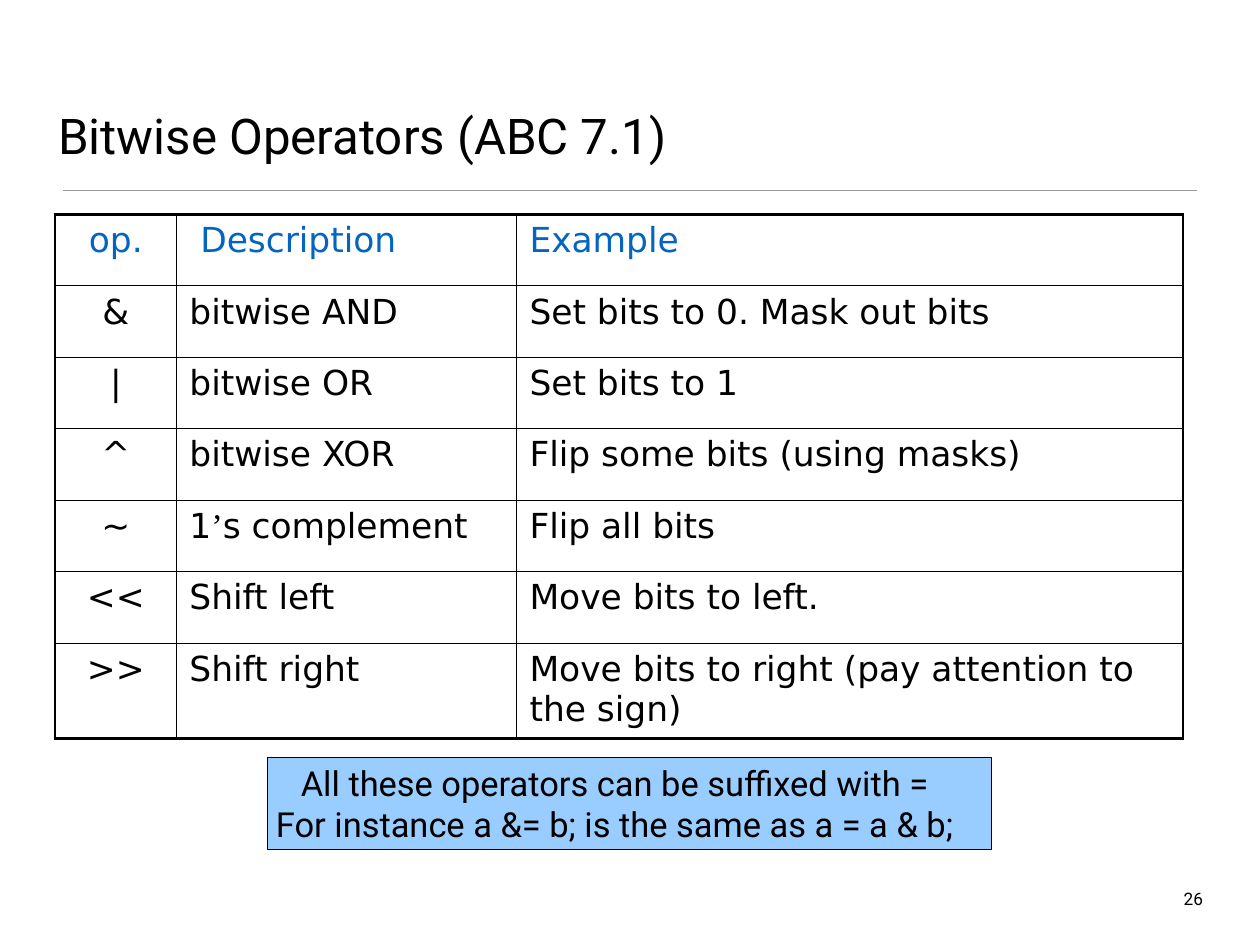
from pptx import Presentation
from pptx import util as u
from pptx.dml import color as c
from pptx.enum import shapes, text
from pptx.oxml import ns
from lxml import etree

COLORS = {
    "ink": "000000",
    "heading": "0365C0",
    "rule": "9A9A9A",
    "note": "99CCFF",
}
THICK, THIN = 2.25, 1

OPERATORS = [
    ("op.", " Description", "Example"),
    ("&", "bitwise AND", "Set bits to 0. Mask out bits"),
    ("|", "bitwise OR", "Set bits to 1"),
    ("^", "bitwise XOR", "Flip some bits (using masks)"),
    ("~", "1’s complement", "Flip all bits"),
    ("<<", "Shift left", "Move bits to left."),
    (">>", "Shift right", "Move bits to right (pay attention to the sign)"),
]
COLUMN_WIDTHS = [3.5, 9.75, 19.1]
ROW_HEIGHTS = [2.05] * 6 + [2.66]


def rgb(name):
    return c.RGBColor.from_string(COLORS[name])


def write_span(para, content, *, size=28, font="Roboto", color="ink"):
    span = para.add_run()
    span.text = content
    span.font.size = u.Pt(size)
    span.font.name = font
    span.font.color.rgb = rgb(color)


class SlideBuilder:
    body_font = "DejaVu Sans"
    quote_font = "Times New Roman"

    def __init__(self, page):
        self.page = page

    def fill_frame(self, frame, lines, margins, anchor, align, **style):
        frame.word_wrap = True
        frame.vertical_anchor = anchor
        (frame.margin_left, frame.margin_top,
         frame.margin_right, frame.margin_bottom) = map(u.Cm, margins)
        for index, line in enumerate(lines):
            para = frame.add_paragraph() if index else frame.paragraphs[0]
            para.alignment = align
            write_span(para, line, **style)

    def label(self, content, place, anchor, align, **style):
        box = self.page.shapes.add_textbox(*map(u.Cm, place))
        self.fill_frame(box.text_frame, [content], [0.1] * 4, anchor, align, **style)

    def rule(self, start, end):
        line = self.page.shapes.add_connector(
            shapes.MSO_CONNECTOR.STRAIGHT, *map(u.Cm, start + end))
        line.line.color.rgb = rgb("rule")
        line.line.width = u.Pt(1)
        etree.SubElement(line._element.spPr, ns.qn("a:effectLst"))

    def note(self, lines, place):
        box = self.page.shapes.add_shape(
            shapes.MSO_SHAPE.RECTANGLE, *map(u.Cm, place))
        box.shadow.inherit = False
        box.fill.solid()
        box.fill.fore_color.rgb = rgb("note")
        box.line.color.rgb = rgb("ink")
        box.line.width = u.Pt(0.75)
        # The wider right margin sets the text slightly left of centre
        self.fill_frame(box.text_frame, lines, (0.13, 0.13, 0.99, 0.13),
                        text.MSO_ANCHOR.MIDDLE, text.PP_ALIGN.CENTER)

    def borders(self, cell, widths):
        properties = cell._tc.get_or_add_tcPr()
        for index, (side, width) in enumerate(zip("LRTB", widths)):
            edge = etree.Element(ns.qn(f"a:ln{side}"), w=str(u.Pt(width)))
            fill = etree.SubElement(edge, ns.qn("a:solidFill"))
            etree.SubElement(fill, ns.qn("a:srgbClr"), val=COLORS["ink"])
            properties.insert(index, edge)

    def cell_text(self, cell, content, centered, color):
        cell.margin_left = cell.margin_right = u.Cm(0.36)
        cell.margin_top = cell.margin_bottom = u.Cm(0.18)
        para = cell.text_frame.paragraphs[0]
        para.alignment = text.PP_ALIGN.CENTER if centered else text.PP_ALIGN.LEFT
        before, quote, after = content.partition("’")
        parts = ((before, self.body_font), (quote, self.quote_font),
                 (after, self.body_font))
        for part, font in parts:
            if part:
                write_span(para, part, font=font, color=color)

    def table(self, rows, left, top, widths, heights):
        size = map(u.Cm, (left, top, sum(widths), sum(heights)))
        grid = self.page.shapes.add_table(len(rows), len(widths), *size).table
        grid.first_row = grid.horz_banding = False
        for column, width in zip(grid.columns, widths):
            column.width = u.Cm(width)
        for row, height in zip(grid.rows, heights):
            row.height = u.Cm(height)
        last_row, last_column = len(rows) - 1, len(widths) - 1
        for r, row in enumerate(rows):
            for k, content in enumerate(row):
                cell = grid.cell(r, k)
                cell.fill.background()
                self.cell_text(cell, content, k == 0, "ink" if r else "heading")
                outer = (k == 0, k == last_column, r == 0, r == last_row)
                self.borders(cell, [THICK if edge else THIN for edge in outer])


def main():
    deck = Presentation()
    deck.slide_width, deck.slide_height = u.Cm(36.12), u.Cm(27.1)
    builder = SlideBuilder(deck.slides.add_slide(deck.slide_layouts[6]))

    # Title and rule
    builder.rule((1.8, 5.46), (34.32, 5.46))
    builder.label("Bitwise Operators (ABC 7.1)", (1.57, 0.91, 32.94, 3.89),
                  text.MSO_ANCHOR.BOTTOM, text.PP_ALIGN.LEFT, size=40)

    # Operator table
    builder.table(OPERATORS, 1.57, 6.15, COLUMN_WIDTHS, ROW_HEIGHTS)

    # Note on assignment forms
    builder.note(["All these operators can be suffixed with =",
                  "For instance a &= b; is the same as a = a & b;"],
                 (7.67, 21.72, 20.75, 2.64))

    # Slide number
    builder.label("26", (33.78, 25.37, 0.81, 0.81),
                  text.MSO_ANCHOR.TOP, text.PP_ALIGN.RIGHT, size=14)

    deck.save("out.pptx")


if __name__ == "__main__":
    main()
